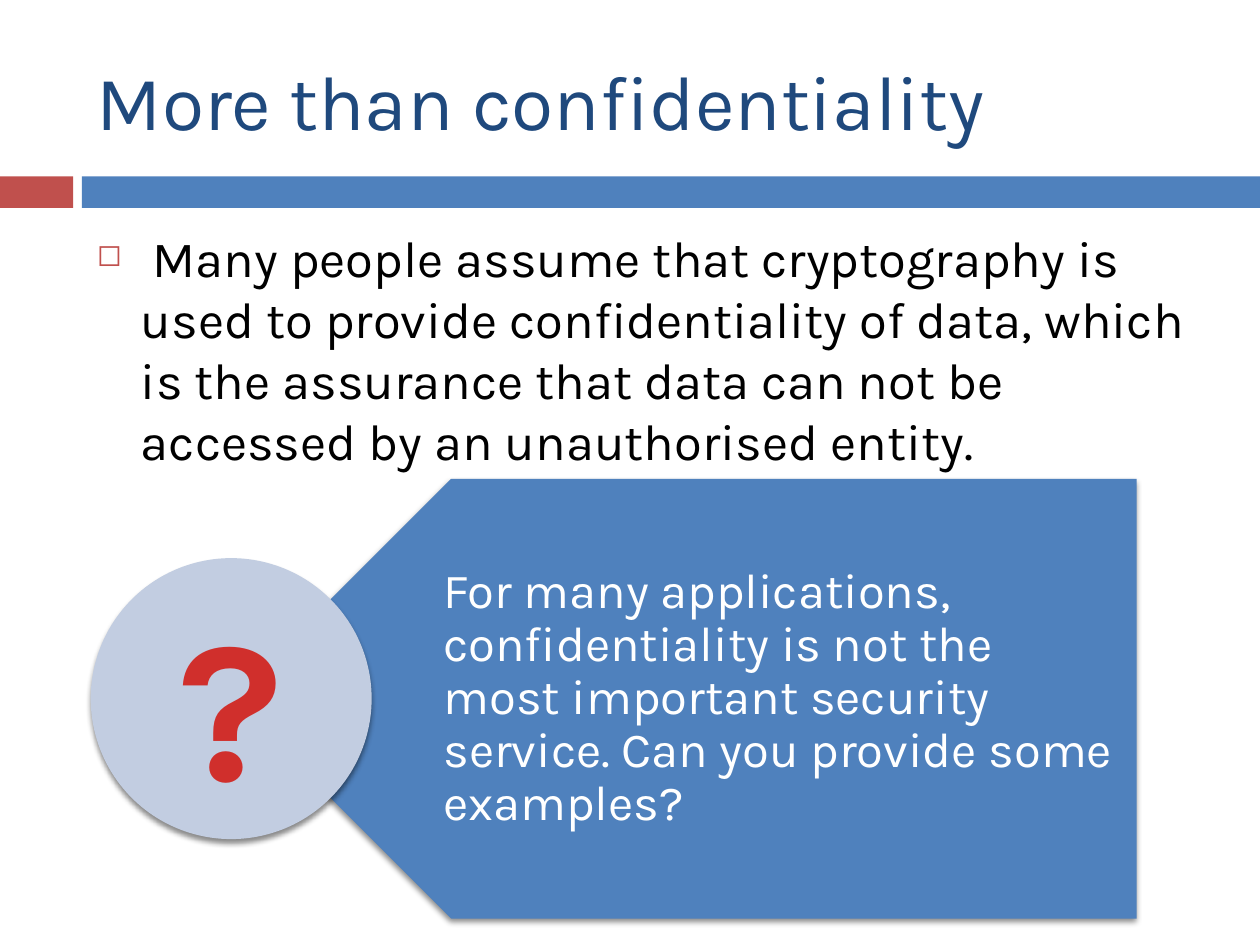
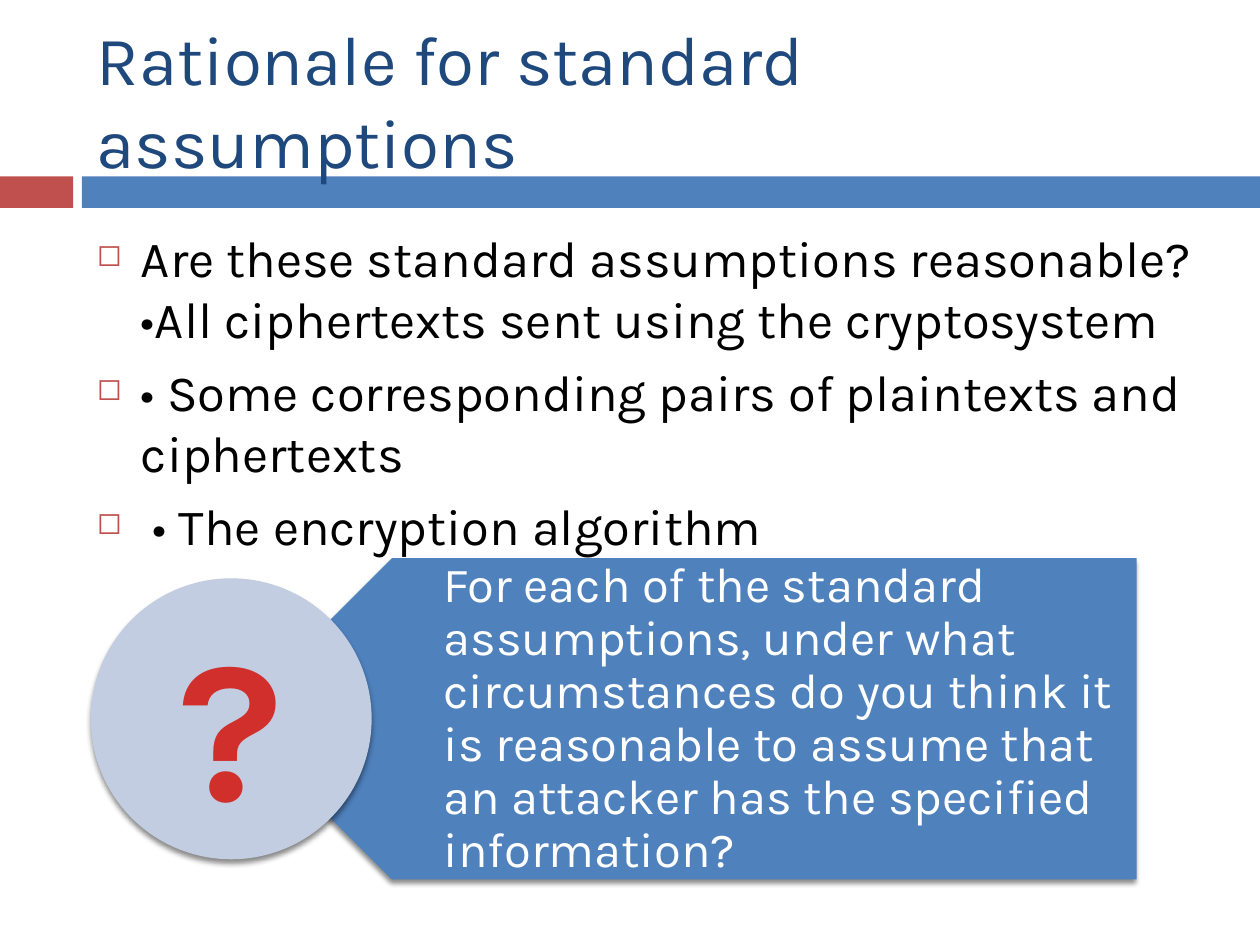
import pptx
import pptx.dml.color
import pptx.enum.shapes
import pptx.enum.text
import pptx.oxml.ns
import pptx.util
from lxml import etree

Inches = pptx.util.Inches
Pt = pptx.util.Pt
RGBColor = pptx.dml.color.RGBColor
Shape = pptx.enum.shapes.MSO_SHAPE
Anchor = pptx.enum.text.MSO_ANCHOR
qn = pptx.oxml.ns.qn

FONT = "Karla"
NAVY = RGBColor(0x1F, 0x49, 0x7D)
BLUE = RGBColor(0x4F, 0x81, 0xBD)
BRICK = RGBColor(0xC0, 0x50, 0x4D)
PALE_BLUE = RGBColor(0xC2, 0xCD, 0xE1)
RED = RGBColor(0xD0, 0x2F, 0x2C)
BLACK = RGBColor(0, 0, 0)
WHITE = RGBColor(0xFF, 0xFF, 0xFF)

MARGIN = 0.67
TEXT_WIDTH = 8.92
BADGE = 2.23

SLIDES = [
    {
        "title": "More than confidentiality",
        "title_size": 44,
        "points": [
            " Many people assume that cryptography is used to provide confidentiality "
            "of data, which is the assurance that data can not be accessed by an "
            "unauthorised entity.",
        ],
        "question": "For many applications, confidentiality is not the most important "
                    "security service. Can you provide some examples?",
        "callout_box": (0.72, 3.8, 8.3, 3.49),
    },
    {
        "title": "Rationale for standard assumptions",
        "title_size": 39.6,
        "points": [
            "Are these standard assumptions reasonable? "
            "•All ciphertexts sent using the cryptosystem",
            "• Some corresponding pairs of plaintexts and ciphertexts",
            " • The encryption algorithm",
        ],
        "question": "For each of the standard assumptions, under what circumstances do "
                    "you think it is reasonable to assume that an attacker has the "
                    "specified information?",
        "callout_box": (0.72, 4.43, 8.3, 2.55),
    },
]


def style(paragraph, size, color, bold=False):
    font = paragraph.font
    font.name, font.size, font.bold = FONT, Pt(size), bold
    font.color.rgb = color


def add_text(shapes, box, anchor=Anchor.TOP, wrap=True):
    """Add an empty text box and return its text frame."""
    frame = shapes.add_textbox(*map(Inches, box)).text_frame
    frame.word_wrap = wrap
    frame.vertical_anchor = anchor
    return frame


def add_filled(shapes, kind, box, color):
    shape = shapes.add_shape(kind, *map(Inches, box))
    shape.shadow.inherit = False
    shape.fill.solid()
    shape.fill.fore_color.rgb = color
    shape.line.fill.background()
    return shape


def add_drop_shadow(shape):
    effects = shape._element.spPr.find(qn("a:effectLst"))
    shadow = etree.SubElement(effects, qn("a:outerShdw"), blurRad=str(Pt(3)),
                              dist=str(Pt(2.4)), dir="5400000", rotWithShape="0")
    color = etree.SubElement(shadow, qn("a:srgbClr"), val=str(BLACK))
    etree.SubElement(color, qn("a:alpha"), val="45000")


def add_square_bullet(paragraph):
    properties = paragraph._p.get_or_add_pPr()
    properties.set("marL", str(Inches(0.35)))
    properties.set("indent", str(-Inches(0.35)))
    color = etree.SubElement(properties, qn("a:buClr"))
    etree.SubElement(color, qn("a:srgbClr"), val=str(BRICK))
    etree.SubElement(properties, qn("a:buSzPct"), val="60000")
    etree.SubElement(properties, qn("a:buChar"), char="◻")


def add_header(slide, title, size):
    for left, width, color in ((0, 0.58, BRICK), (0.65, 9.35, BLUE)):
        add_filled(slide.shapes, Shape.RECTANGLE, (left, 1.4, width, 0.25), color)
    frame = add_text(slide.shapes, (MARGIN, 0.25, TEXT_WIDTH, 1.08), Anchor.MIDDLE)
    frame.text = title
    style(frame.paragraphs[0], size, NAVY)


def add_points(slide, points):
    frame = add_text(slide.shapes, (MARGIN, 1.75, TEXT_WIDTH, 5.39))
    frame.text = "\n".join(points)
    for paragraph in frame.paragraphs:
        add_square_bullet(paragraph)
        paragraph.space_before = Pt(7)
        style(paragraph, 29, BLACK)


def add_question_callout(slide, question, box):
    """Draw a left-pointing plate with the question and a round badge on its tip."""
    left, top, width, height = box
    middle = top + height / 2
    right = left + width
    shapes = slide.shapes.add_group_shape().shapes

    plate_left = left + BADGE / 2
    plate = add_filled(shapes, Shape.PENTAGON,
                       (plate_left, top, right - plate_left, height), BLUE)
    plate.rotation = 180
    add_drop_shadow(plate)

    text_left, text_height = left + 1.82, 2.55
    frame = add_text(shapes, (text_left, middle - text_height / 2,
                              right - text_left, text_height), Anchor.MIDDLE)
    frame.margin_left, frame.margin_right = Inches(0.98), Inches(0.16)
    frame.margin_top = frame.margin_bottom = Inches(0.09)
    frame.text = question
    frame.paragraphs[0].line_spacing = 0.9
    style(frame.paragraphs[0], 28, WHITE)

    badge = add_filled(shapes, Shape.OVAL,
                       (left, middle - BADGE / 2, BADGE, BADGE), PALE_BLUE)
    add_drop_shadow(badge)

    mark = add_text(shapes, (left + 0.6, middle - 1, 1.02, 2.04), wrap=False)
    mark.auto_size = pptx.enum.text.MSO_AUTO_SIZE.SHAPE_TO_FIT_TEXT
    mark.text = "?"
    mark.paragraphs[0].alignment = pptx.enum.text.PP_ALIGN.CENTER
    style(mark.paragraphs[0], 115, RED, bold=True)


def main():
    deck = pptx.Presentation()
    deck.slide_width, deck.slide_height = Inches(10), Inches(7.5)
    for content in SLIDES:
        slide = deck.slides.add_slide(deck.slide_layouts[6])
        add_header(slide, content["title"], content["title_size"])
        add_points(slide, content["points"])
        add_question_callout(slide, content["question"], content["callout_box"])
    deck.save("out.pptx")


if __name__ == "__main__":
    main()
